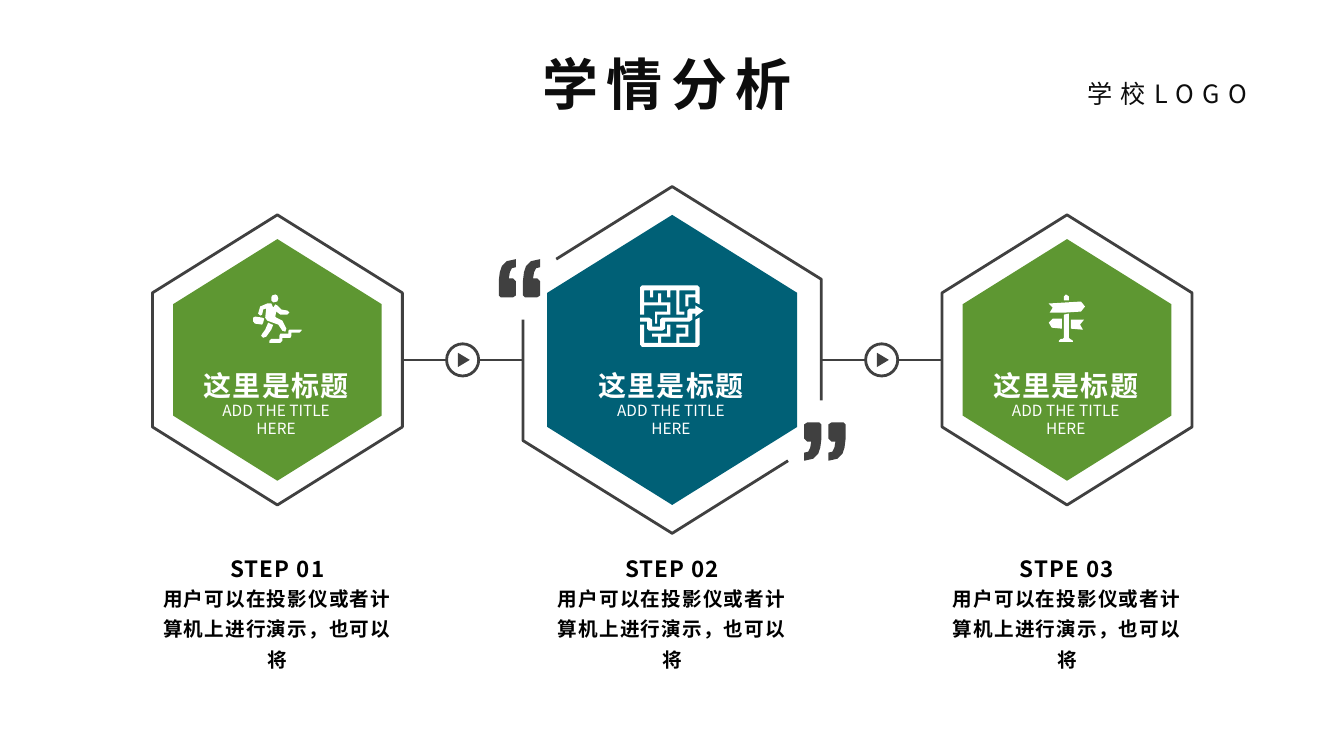
from lxml import etree
from pptx import Presentation
from pptx.dml.color import RGBColor
from pptx.enum.shapes import MSO_CONNECTOR, MSO_SHAPE
from pptx.enum.text import MSO_AUTO_SIZE, PP_ALIGN
from pptx.oxml.ns import qn
from pptx.util import Cm, Pt

HEXAGON, OVAL, ARROW = MSO_SHAPE.HEXAGON, MSO_SHAPE.OVAL, MSO_SHAPE.ISOSCELES_TRIANGLE
STRAIGHT = MSO_CONNECTOR.STRAIGHT
LEFT, CENTER = PP_ALIGN.LEFT, PP_ALIGN.CENTER
GROW = MSO_AUTO_SIZE.SHAPE_TO_FIT_TEXT

WHITE = RGBColor(0xFF, 0xFF, 0xFF)
BLACK = RGBColor(0, 0, 0)
INK = RGBColor(0x0D, 0x0D, 0x0D)
GREY = RGBColor(0x40, 0x40, 0x40)
GREEN = RGBColor(0x5E, 0x97, 0x32)
TEAL = RGBColor(0x00, 0x60, 0x76)

FONT = "Noto Sans CJK SC"
UNIT = Cm(0.0254)  # grid step of all outlines below
MID_X, MID_Y = 16.94, 9.07
STEP_GAP, LINK_GAP = 9.95, 5.28
LARGE, SMALL = (7.31, 6.3), (6.09, 5.26)
BODY = "用户可以在投影仪或者计算机上进行演示，也可以将"

# Each icon is a list of shapes, each shape a list of closed outlines.
RUNNER = [
    [[(18, 44), (26, 44), (26, 41), (27, 39), (35, 39), (35, 36), (36, 35), (48, 35), (48, 36),
      (46, 38), (38, 38), (38, 41), (37, 43), (29, 43), (29, 46), (27, 48), (16, 48), (16, 46)]],
    [[(2, 29), (9, 30), (10, 28), (11, 24), (9, 23), (2, 22), (0, 23), (0, 27)],
     [(9, 39), (12, 35), (15, 28), (19, 30), (20, 30), (18, 35), (13, 42), (10, 43), (8, 41)],
     [(22, 0), (24, 1), (25, 4), (24, 7), (20, 8), (18, 6), (18, 3), (19, 1)],
     [(22, 10), (24, 11), (28, 15), (34, 16), (36, 18), (34, 20), (27, 20), (23, 17), (22, 22),
      (23, 23), (29, 26), (33, 34), (32, 37), (29, 36), (25, 30), (14, 26), (12, 23), (13, 14),
      (10, 15), (9, 20), (7, 21), (5, 19), (7, 12), (14, 9), (18, 9), (20, 13)]],
]
MAZE = [
    [[(55, 28), (52, 28), (52, 34), (49, 36), (25, 36), (25, 43), (22, 45), (9, 45), (7, 43),
      (7, 36), (0, 36), (0, 32), (9, 32), (12, 34), (12, 41), (20, 41), (20, 34), (22, 32),
      (47, 32), (47, 25), (49, 23), (55, 23), (55, 20), (63, 25), (55, 31)]],
    [[(55, 5), (39, 5), (39, 26), (44, 26), (44, 29), (36, 29), (36, 5), (30, 5), (30, 12),
      (27, 12), (27, 5), (13, 5), (13, 12), (10, 12), (10, 5), (4, 5), (4, 17), (18, 17),
      (18, 8), (21, 8), (21, 17), (30, 17), (30, 29), (17, 29), (17, 38), (15, 38), (15, 26),
      (27, 26), (27, 20), (4, 20), (4, 29), (0, 29), (0, 2), (2, 0), (57, 0), (59, 2),
      (59, 19), (55, 17), (55, 12), (48, 12), (48, 21), (45, 21), (45, 9), (55, 9)],
     [(13, 51), (12, 51), (12, 48), (27, 48), (27, 39), (30, 39), (30, 51), (21, 51), (21, 57),
      (36, 57), (36, 48), (45, 48), (45, 42), (36, 42), (36, 39), (48, 39), (48, 51), (39, 51),
      (39, 57), (55, 57), (55, 34), (59, 32), (59, 59), (57, 61), (2, 61), (0, 59), (0, 39),
      (4, 39), (4, 57), (18, 57), (18, 51)]],
]
SIGN = [
    [[(34, 35), (22, 34), (22, 25), (35, 25), (31, 30)],
     [(15, 2), (17, 0), (20, 2), (20, 6), (15, 6)],
     [(20, 19), (20, 43), (21, 44), (24, 46), (24, 47), (10, 47), (10, 46), (12, 44), (14, 44),
      (15, 43), (15, 20)],
     [(13, 34), (3, 33), (0, 28), (4, 24), (13, 24)]],
    [[(0, 9), (16, 8), (32, 7), (36, 12), (32, 17), (16, 18), (1, 18), (4, 13)]],
]
QUOTE = [(0, 21), (0, 36), (2, 38), (14, 38), (17, 36), (17, 22), (14, 19), (10, 19), (11, 13),
         (13, 9), (17, 8), (17, 0), (8, 2), (3, 7), (1, 13)]
BRACKET = [(-115, -100), (0, -172), (148, -80), (148, 40)]

# Heading, fill, icon, icon offset from the middle of the hexagon
STEPS = [
    ("STEP 01", GREEN, RUNNER, (-0.61, -1.65)),
    ("STEP 02", TEAL, MAZE, (-0.81, -1.88)),
    ("STPE 03", GREEN, SIGN, (-0.46, -1.65)),
]


def paint(shape, fill, line):
    shape.shadow.inherit = False
    if fill is None:
        shape.fill.background()
    else:
        shape.fill.solid()
        shape.fill.fore_color.rgb = fill
    if line is None:
        shape.line.fill.background()
    else:
        shape.line.color.rgb = line
        shape.line.width = Pt(2)


def preset(slide, kind, x, y, size, fill=None, line=None, turn=0):
    """Place a preset shape by its centre."""
    w, h = size
    shape = slide.shapes.add_shape(kind, Cm(x - w / 2), Cm(y - h / 2), Cm(w), Cm(h))
    shape.rotation = turn
    paint(shape, fill, line)
    return shape


def hexa(slide, x, y, size, fill=None, line=None):
    shape = preset(slide, HEXAGON, x, y, size, fill, line, 90)
    shape.adjustments[0] = 0.312


def outline(slide, x, y, paths, fill=None, line=None):
    """Draw grid outlines from an origin; those with a fill are closed."""
    closed = fill is not None
    pen = slide.shapes.build_freeform(*paths[0][0], scale=UNIT)
    for num, points in enumerate(paths):
        if num:
            pen.move_to(*points[0])
        pen.add_line_segments(points[1:], close=closed)
    paint(pen.convert_to_shape(Cm(x), Cm(y)), fill, line)


def label(slide, x, y, w, h, text, size, color, bold=False, track=0, lead=1.0, align=CENTER):
    """Place text by the middle of its top edge."""
    box = slide.shapes.add_textbox(Cm(x - w / 2), Cm(y), Cm(w), Cm(h))
    frame = box.text_frame
    frame.word_wrap = True
    frame.auto_size = GROW
    para = frame.paragraphs[0]
    para.text = text
    para.alignment = align
    para.line_spacing = lead
    font = para.font
    font.name, font.size, font.bold = FONT, Pt(size), bold
    font.color.rgb = color
    props = para._p.pPr.find(qn("a:defRPr"))
    props.set("spc", str(round(track * 100)))
    etree.SubElement(props, qn("a:ea")).set("typeface", FONT)


def header(slide):
    label(slide, 30.16, 1.85, 6.02, 1.02, "学校LOGO", 18, INK, track=6, align=LEFT)
    label(slide, 16.81, 1.12, 10.16, 1.96, "学情分析", 40, INK, True, 6)


def quoted(slide, x, y):
    """Draw the split frame with a quotation mark in each gap."""
    for sign in (1, -1):
        outline(slide, x, y, [[(sign * px, sign * py) for px, py in BRACKET]], line=GREY)
        for shift in (-172, -148):
            mark = [(sign * (px + shift), sign * (py - 100)) for px, py in QUOTE]
            outline(slide, x, y, [mark], fill=GREY)


def step(slide, x, y, head, color, icon, offset, main):
    if main:
        quoted(slide, x, y)
    else:
        hexa(slide, x, y, LARGE, line=GREY)
    hexa(slide, x, y, LARGE if main else SMALL, fill=color)
    for paths in icon:
        outline(slide, x + offset[0], y + offset[1], paths, fill=WHITE)
    label(slide, x - 0.03, y - 0.08, 6.3, 1.19, "这里是标题", 20, WHITE, True, 0.8, 1.2)
    label(slide, x - 0.03, y + 0.91, 3.99, 0.74, "ADD THE TITLE HERE", 11, WHITE)
    label(slide, x, y + 4.67, 6.35, 1.07, head, 16, BLACK, True, 0.8, 1.2)
    label(slide, x, y + 5.41, 6.35, 2.59, BODY, 14, BLACK, True, 0.8, 1.3)


def link(slide, x, y):
    line = slide.shapes.add_connector(STRAIGHT, Cm(x - 1.5), Cm(y), Cm(x + 1.5), Cm(y))
    line.line.color.rgb = GREY
    line.line.width = Pt(1)
    etree.SubElement(line._element.spPr, qn("a:effectLst"))
    preset(slide, OVAL, x, y, (0.81, 0.81), WHITE, GREY)
    preset(slide, ARROW, x + 0.03, y, (0.36, 0.3), GREY, turn=90)


def main():
    deck = Presentation()
    deck.slide_width, deck.slide_height = Cm(33.87), Cm(19.05)
    slide = deck.slides.add_slide(deck.slide_layouts[6])
    header(slide)
    for num, parts in enumerate(STEPS):
        step(slide, MID_X + (num - 1) * STEP_GAP, MID_Y, *parts, main=num == 1)
    for side in (-1, 1):
        link(slide, MID_X + side * LINK_GAP, MID_Y)
    deck.save("out.pptx")


if __name__ == "__main__":
    main()
